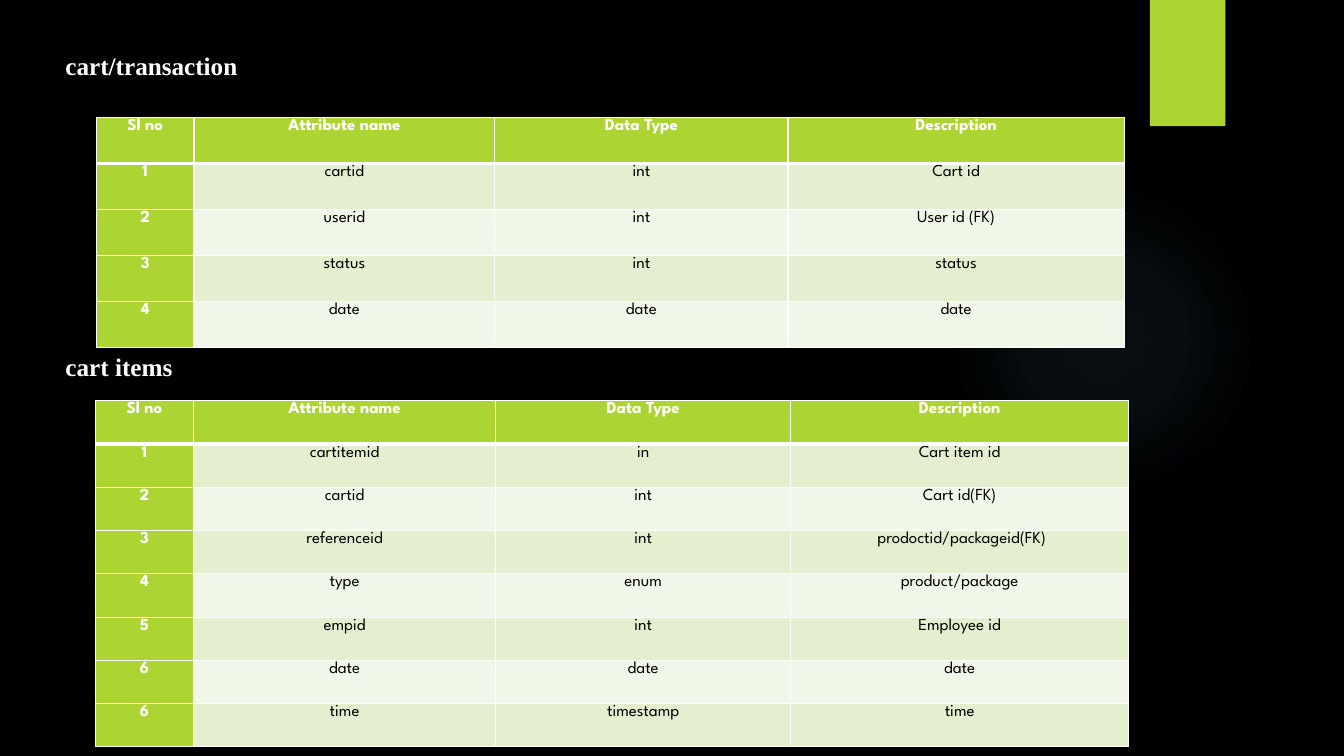
from dataclasses import dataclass

from lxml import etree
from pptx import Presentation
from pptx.dml.color import RGBColor
from pptx.enum.shapes import MSO_SHAPE
from pptx.enum.text import MSO_AUTO_SIZE, PP_ALIGN
from pptx.oxml.ns import qn
from pptx.util import Cm, Pt

RECT, OVAL = MSO_SHAPE.RECTANGLE, MSO_SHAPE.OVAL
CENTER, GROW = PP_ALIGN.CENTER, MSO_AUTO_SIZE.SHAPE_TO_FIT_TEXT


@dataclass(frozen=True)
class Theme:
    """Colours, fonts and type sizes of the slide."""
    black: str = "000000"
    white: str = "FFFFFF"
    lime: str = "ACD433"
    glow: str = "7AC4F0"
    bands: tuple = ("E3EFCE", "F1F7E8")
    serif: str = "Times New Roman"
    sans: str = "League Spartan"
    head: int = 18
    body: int = 12
    thin: int = 1
    thick: int = 3


THEME = Theme()
TITLES = ("Sl no", "Attribute name", "Data Type", "Description")
CART = (
    ("1", "cartid", "int", "Cart id"),
    ("2", "userid", "int", "User id (FK)"),
    ("3", "status", "int", "status"),
    ("4", "date", "date", "date"),
)
ITEMS = (
    ("1", "cartitemid", "in", "Cart item id"),
    ("2", "cartid", "int", "Cart id(FK)"),
    ("3", "referenceid", "int", " prodoctid/packageid(FK)"),
    ("4", "type", "enum", "product/package"),
    ("5", "empid", "int", "Employee id"),
    ("6", "date", "date", "date"),
    ("6", "time", "timestamp", "time"),
)


def add(node, tag, **attrs):
    """Append a drawing element and return it."""
    return etree.SubElement(node, qn(tag), {k: str(v) for k, v in attrs.items()})


def tint(node, color, alpha):
    """Add a colour with an opacity in percent."""
    add(add(node, "a:srgbClr", val=color), "a:alpha", val=alpha * 1000)


def style(font, face, size, color, bold):
    """Format the font of a run."""
    font.name, font.size, font.bold = face, Pt(size), bold
    font.color.rgb = RGBColor.from_string(color)


def shape(slide, kind, box):
    """Add a lime shape without line or shadow."""
    item = slide.shapes.add_shape(kind, *map(Cm, box))
    item.shadow.inherit = False
    item.line.fill.background()
    item.fill.solid()
    item.fill.fore_color.rgb = RGBColor.from_string(THEME.lime)
    return item


def halo(slide, box):
    """Draw the faint round glow."""
    props = shape(slide, OVAL, box).element.spPr
    old = props.find(qn("a:solidFill"))
    grad = etree.Element(qn("a:gradFill"), rotWithShape="1")
    stops = add(grad, "a:gsLst")
    for pos, alpha in ((0, 7), (36, 6), (69, 0)):
        tint(add(stops, "a:gs", pos=pos * 1000), THEME.glow, alpha)
    ring = add(grad, "a:path", path="circle")
    add(ring, "a:fillToRect", l=50000, t=50000, r=50000, b=50000)
    props.replace(old, grad)


def flag(slide, box):
    """Draw the lime tab with its soft shadow."""
    props = shape(slide, RECT, box).element.spPr
    cast = add(props.find(qn("a:effectLst")), "a:outerShdw",
               blurRad=Pt(3), dist=Pt(2), dir=90 * 60000, rotWithShape=0)
    tint(cast, THEME.black, 45)


def label(slide, box, text):
    """Write a table heading."""
    item = slide.shapes.add_textbox(*map(Cm, box))
    frame = item.text_frame
    frame.text = text
    frame.word_wrap, frame.auto_size = False, GROW
    style(frame.paragraphs[0].runs[0].font, THEME.serif, THEME.head, THEME.white, True)


def border(cell, row):
    """Rule all sides of a cell, heavier below the header."""
    props = cell._tc.get_or_add_tcPr()
    for side in "LRTB":
        heavy = (row, side) in ((0, "B"), (1, "T"))
        line = add(props, f"a:ln{side}", w=Pt(THEME.thick if heavy else THEME.thin))
        add(add(line, "a:solidFill"), "a:srgbClr", val=THEME.white)


def fill(cell, row, col, text):
    """Fill one table cell and format its text."""
    lead = row == 0 or col == 0
    border(cell, row)
    cell.fill.solid()
    back = THEME.lime if lead else THEME.bands[(row - 1) % 2]
    cell.fill.fore_color.rgb = RGBColor.from_string(back)
    cell.margin_left = cell.margin_right = Cm(0.18)
    cell.margin_top = cell.margin_bottom = 0
    cell.text_frame.text = text
    para = cell.text_frame.paragraphs[0]
    para.alignment, para.line_spacing, para.space_after = CENTER, 1.09, Pt(15.3)
    ink = THEME.white if lead else THEME.black
    style(para.runs[0].font, THEME.sans, THEME.body, ink, lead)


def grid(slide, left, top, widths, high, rows):
    """Add a table of attributes with equal row heights."""
    data = (TITLES, *rows)
    box = (left, top, sum(widths), high * len(data))
    table = slide.shapes.add_table(len(data), len(TITLES), *map(Cm, box)).table
    table.first_col = True
    for col, width in zip(table.columns, widths):
        col.width = Cm(width)
    for r, line in enumerate(data):
        table.rows[r].height = Cm(high)
        for c, text in enumerate(line):
            fill(table.cell(r, c), r, c, text)


def main():
    """Build and save the slide."""
    deck = Presentation()
    deck.slide_width, deck.slide_height = Cm(33.87), Cm(19.05)
    slide = deck.slides.add_slide(deck.slide_layouts[6])
    back = slide.background.fill
    back.solid()
    back.fore_color.rgb = RGBColor.from_string(THEME.black)
    halo(slide, (23.9, 4.65, 7.82, 7.82))
    flag(slide, (28.98, 0, 1.9, 3.18))
    label(slide, (1.4, 1.14, 4.9, 1.02), "cart/transaction")
    grid(slide, 2.43, 2.96, (2.46, 7.58, 7.39, 8.47), 1.16, CART)
    label(slide, (1.4, 8.74, 3.23, 1.02), "cart items")
    grid(slide, 2.4, 10.1, (2.48, 7.61, 7.44, 8.51), 1.09, ITEMS)
    deck.save("out.pptx")


if __name__ == "__main__":
    main()
